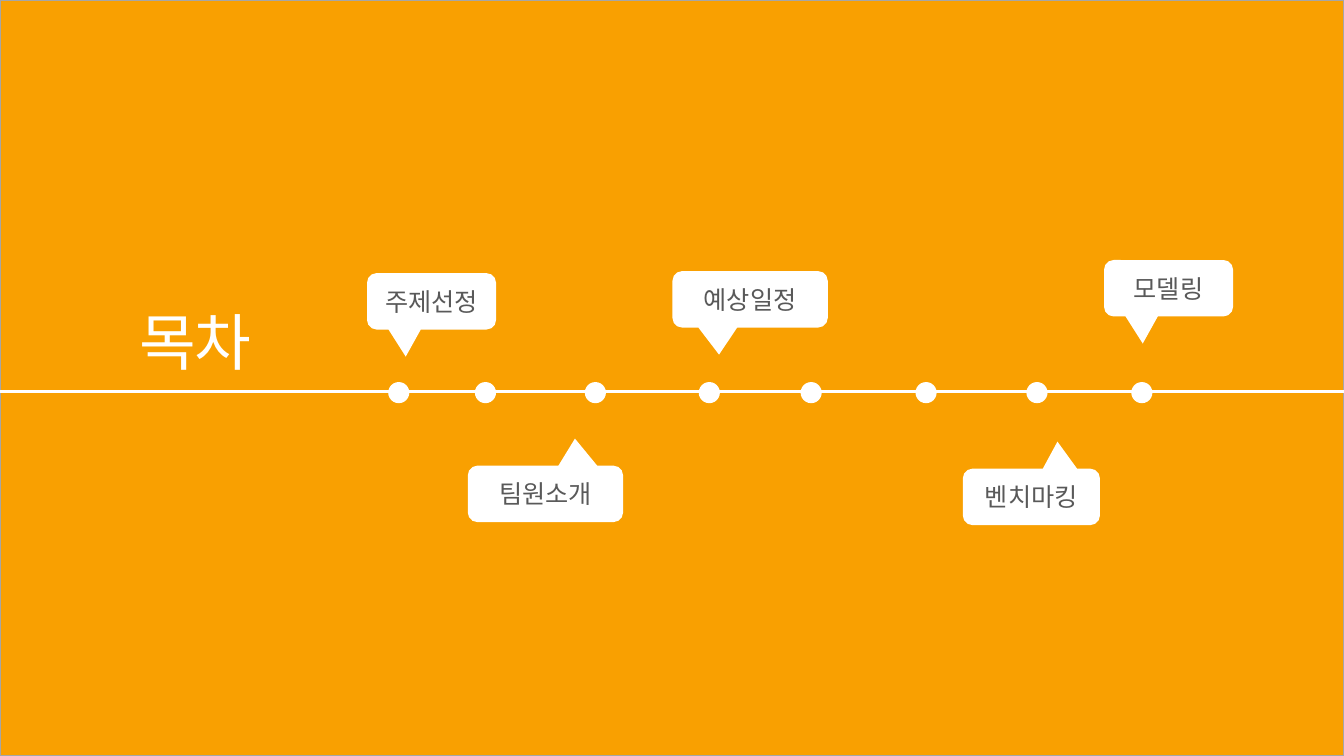
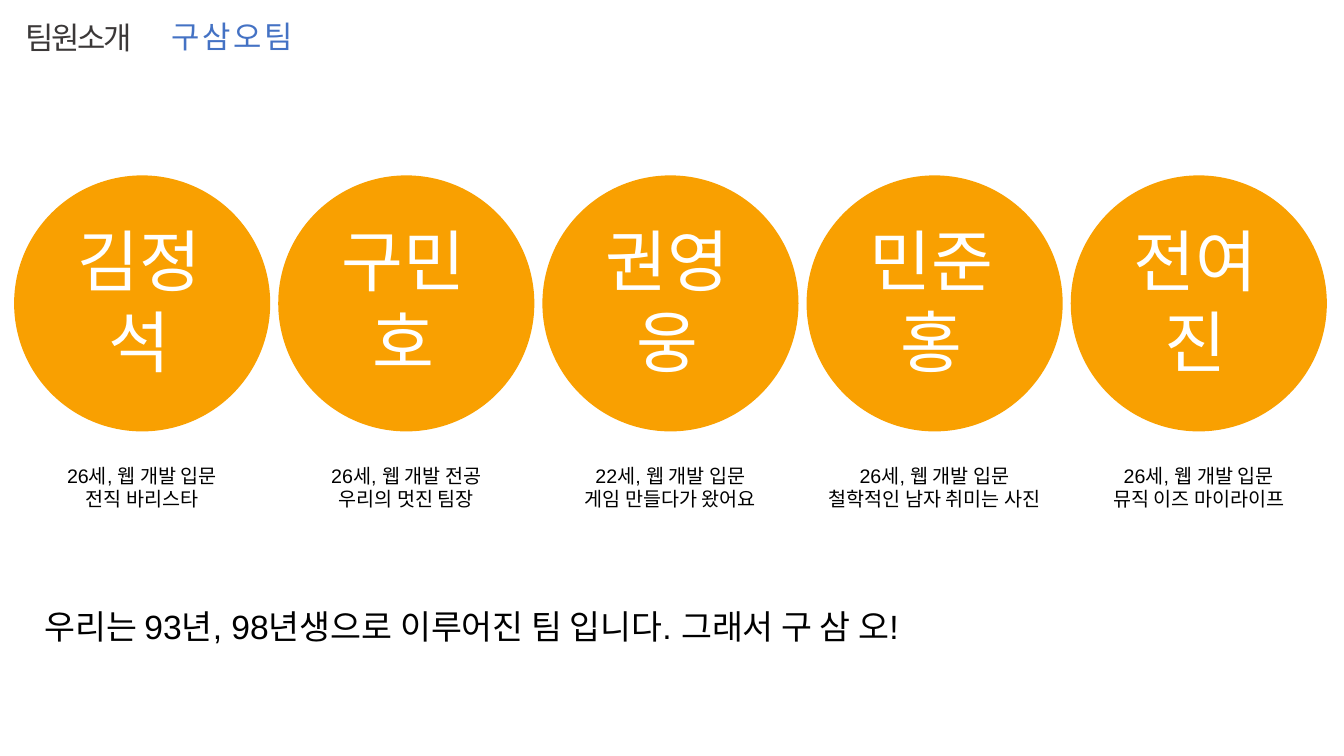
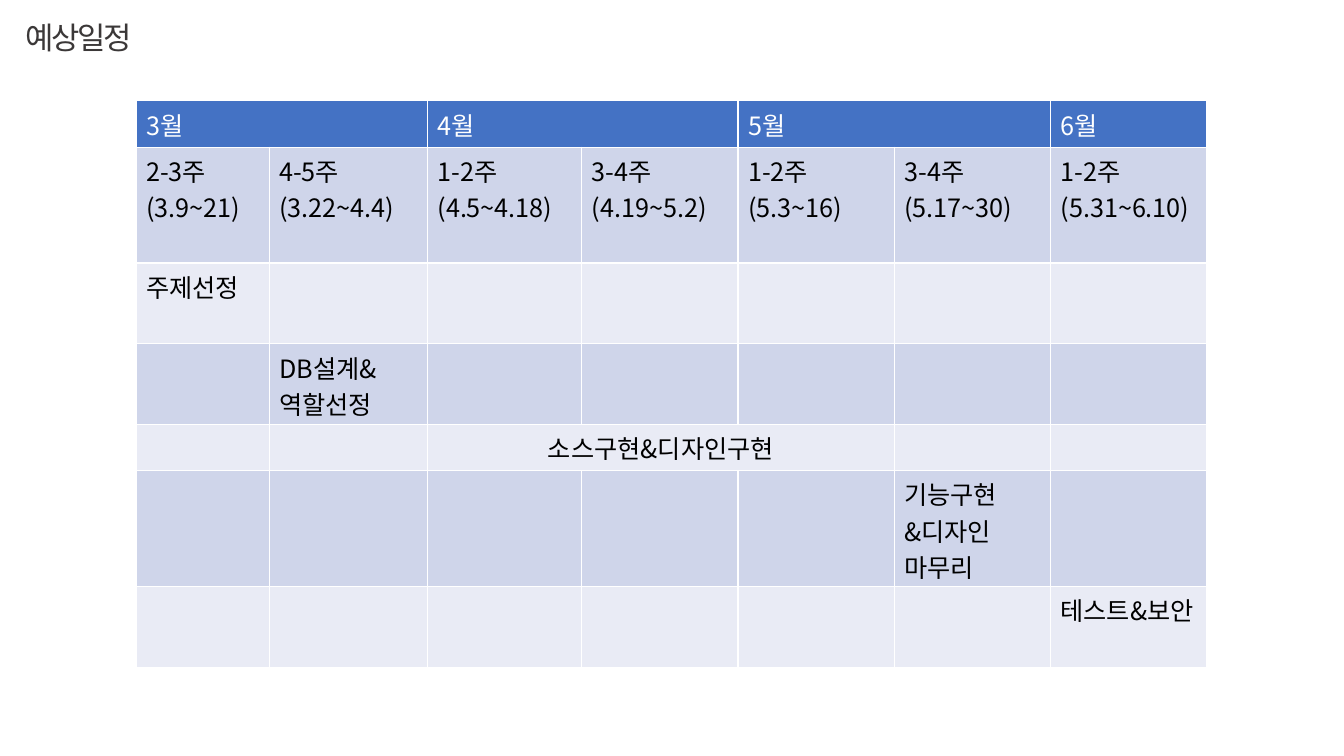
import pptx
import pptx.dml.color
import pptx.enum.shapes
import pptx.enum.text
import pptx.oxml
import pptx.oxml.ns
import pptx.util
from lxml import etree

Inches = pptx.util.Inches
Pt = pptx.util.Pt
SHAPE = pptx.enum.shapes.MSO_SHAPE
ALIGN = pptx.enum.text.PP_ALIGN
ANCHOR = pptx.enum.text.MSO_ANCHOR
qn = pptx.oxml.ns.qn

COLORS = {
    "orange": "F9A001", "white": "FFFFFF", "black": "000000",
    "edge": "A6A6A6", "label": "595959", "title": "3B3838",
    "blue": "4472C4", "band_dark": "CFD5EA", "band_light": "E9EBF5",
}
SANS = "Arial"
KOREAN = "Noto Sans CJK KR"


def rgb(name):
    return pptx.dml.color.RGBColor.from_string(COLORS[name])


class Deck:
    """Holds the presentation, its style and the current slide."""

    def __init__(self):
        self.prs = pptx.Presentation()
        self.prs.slide_width = Inches(13.33)
        self.prs.slide_height = Inches(7.5)
        self.s = None

    def slide(self):
        self.s = self.prs.slides.add_slide(self.prs.slide_layouts[6])

    def set_text(self, tf, text, size, color, font=SANS, align=ALIGN.LEFT, spacing=0):
        tf.text = text
        for p in tf.paragraphs:
            p.alignment = align
            p.font.name = font
            p.font.size = Pt(size)
            p.font.color.rgb = rgb(color)
            if spacing:
                p.font._rPr.set("spc", str(int(spacing * 100)))

    def text(self, x, y, w, h, text, size, color, **style):
        tf = self.s.shapes.add_textbox(Inches(x), Inches(y), Inches(w), Inches(h)).text_frame
        tf.word_wrap = True
        self.set_text(tf, text, size, color, **style)

    def title(self, text):
        self.text(0.15, 0.14, 1.53, 0.47, text, 22, "title", spacing=-1.5)

    def shape(self, kind, x, y, w, h, fill, line=None):
        sp = self.s.shapes.add_shape(kind, Inches(x), Inches(y), Inches(w), Inches(h))
        sp.shadow.inherit = False
        sp.fill.solid()
        sp.fill.fore_color.rgb = rgb(fill)
        if line:
            sp.line.color.rgb = rgb(line)
            sp.line.width = Pt(1)
        else:
            sp.line.fill.background()
        return sp

    def label(self, sp, text, size, color, font=SANS):
        sp.text_frame.vertical_anchor = ANCHOR.MIDDLE
        self.set_text(sp.text_frame, text, size, color, font, ALIGN.CENTER)

    def callout(self, x, y, w, text, tip):
        sp = self.shape(SHAPE.ROUNDED_RECTANGULAR_CALLOUT, x, y, w, 0.56, "white")
        for i, value in enumerate((*tip, 0.17)):
            sp.adjustments[i] = value
        self.label(sp, text, 18, "label")

    def line(self, x1, y1, x2, y2, color, width):
        ln = self.s.shapes.add_connector(
            pptx.enum.shapes.MSO_CONNECTOR.STRAIGHT,
            Inches(x1), Inches(y1), Inches(x2), Inches(y2))
        ln.line.color.rgb = rgb(color)
        ln.line.width = Pt(width)
        etree.SubElement(ln._element.spPr, qn("a:effectLst"))

    def cell_border(self, cell):
        tcPr = cell._tc.get_or_add_tcPr()
        for side in ("a:lnL", "a:lnR", "a:lnT", "a:lnB"):
            ln = etree.SubElement(tcPr, qn(side), w=str(Pt(1)))
            fill = etree.SubElement(ln, qn("a:solidFill"))
            etree.SubElement(fill, qn("a:srgbClr"), val=COLORS["white"])

    def table(self, x, y, widths, heights, texts, spans, centered):
        tbl = self.s.shapes.add_table(
            len(heights), len(widths), Inches(x), Inches(y),
            Inches(sum(widths)), Inches(sum(heights))).table
        tbl.first_row = tbl.horz_banding = False
        for col, w in zip(tbl.columns, widths):
            col.width = Inches(w)
        for r, h in enumerate(heights):
            tbl.rows[r].height = Inches(h)
            fill = "blue" if r == 0 else "band_dark" if r % 2 else "band_light"
            for c in range(len(widths)):
                cell = tbl.cell(r, c)
                self.cell_border(cell)
                cell.fill.solid()
                cell.fill.fore_color.rgb = rgb(fill)
                self.set_text(cell.text_frame, texts.get((r, c), ""), 18,
                              "black" if r else "white", KOREAN,
                              ALIGN.CENTER if (r, c) in centered else ALIGN.LEFT)
        for r, first, last in spans:
            tbl.cell(r, first).merge(tbl.cell(r, last))


def contents_slide(d):
    d.slide()
    d.shape(SHAPE.RECTANGLE, 0, 0, 13.33, 7.5, "orange", "edge")

    # Timeline
    d.line(0, 3.88, 13.33, 3.88, "white", 2)
    for x in (3.85, 4.71, 5.8, 6.93, 7.94, 9.08, 10.18, 11.22):
        d.shape(SHAPE.OVAL, x, 3.79, 0.21, 0.21, "white")

    # Topics above and below the line
    down, up = (-0.2, 0.98), (0.19, -0.98)
    for x, y, w, text, tip in (
        (3.64, 2.71, 1.28, "주제선정", down),
        (4.64, 4.62, 1.54, "팀원소개", up),
        (6.67, 2.69, 1.54, "예상일정", down),
        (9.55, 4.65, 1.36, "벤치마킹", up),
        (10.95, 2.58, 1.28, "모델링", down),
    ):
        d.callout(x, y, w, text, tip)
    d.text(1.24, 2.97, 1.39, 0.84, "목차", 44, "white", align=ALIGN.CENTER, spacing=-1.5)


def team_slide(d):
    d.slide()
    d.title("팀원소개")
    d.text(1.32, 0.13, 1.97, 0.47, "구 삼 오 팀", 22, "blue", align=ALIGN.CENTER, spacing=-1.5)

    # Members, evenly spaced
    members = (
        ("김정석", "26세, 웹 개발 입문\n전직 바리스타"),
        ("구민호", "26세, 웹 개발 전공\n우리의 멋진 팀장"),
        ("권영웅", "22세, 웹 개발 입문\n게임 만들다가 왔어요"),
        ("민준홍", "26세, 웹 개발 입문\n철학적인 남자 취미는 사진"),
        ("전여진", "26세, 웹 개발 입문\n뮤직 이즈 마이라이프"),
    )
    for i, (name, about) in enumerate(members):
        x = 0.14 + 2.62 * i
        d.shape(SHAPE.OVAL, x, 1.74, 2.54, 2.54, "orange")
        inner = d.shape(SHAPE.OVAL, x + 0.16, 1.9, 2.16, 2.16, "orange")
        d.label(inner, name, 48, "white", KOREAN)
        d.text(x - 0.13, 4.55, 2.8, 0.57, about, 14, "black", align=ALIGN.CENTER)

    d.text(0.34, 5.96, 9.85, 0.5,
           "우리는 93년, 98년생으로 이루어진 팀 입니다. 그래서 구 삼 오!", 24, "black")


def schedule_slide(d):
    d.slide()
    d.title("예상일정")
    weeks = ("2-3주\n(3.9~21)", "4-5주\n(3.22~4.4)", "1-2주\n(4.5~4.18)",
             "3-4주\n(4.19~5.2)", "1-2주\n(5.3~16)", "3-4주\n(5.17~30)",
             "1-2주\n(5.31~6.10)")
    # Texts by (row, column)
    texts = {
        (0, 0): "3월", (0, 2): "4월", (0, 4): "5월", (0, 6): "6월",
        (2, 0): "주제선정",
        (3, 1): "DB설계&역할선정",
        (4, 2): "소스구현&디자인구현",
        (5, 5): "기능구현\n&디자인 마무리",
        (6, 6): "테스트&보안",
    }
    texts.update({(1, c): week for c, week in enumerate(weeks)})
    d.table(1.35, 1, [1.32, 1.57, 1.53] + [1.55] * 4,
            [0.46, 1.15, 0.8, 0.8, 0.46, 1.15, 0.8], texts,
            spans=((0, 0, 1), (0, 2, 3), (0, 4, 5), (4, 2, 4)),
            centered={(4, 2)})


def main():
    d = Deck()
    contents_slide(d)
    team_slide(d)
    schedule_slide(d)
    d.prs.save("out.pptx")


if __name__ == "__main__":
    main()
